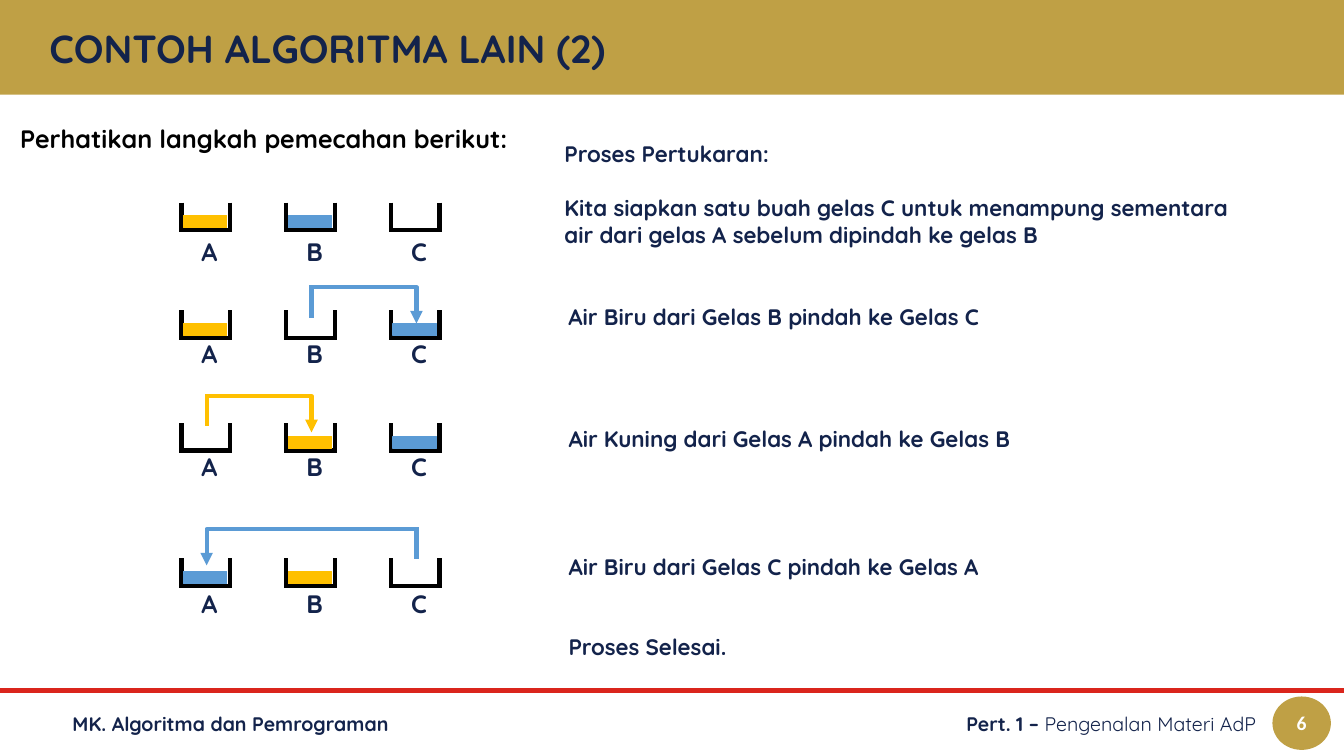
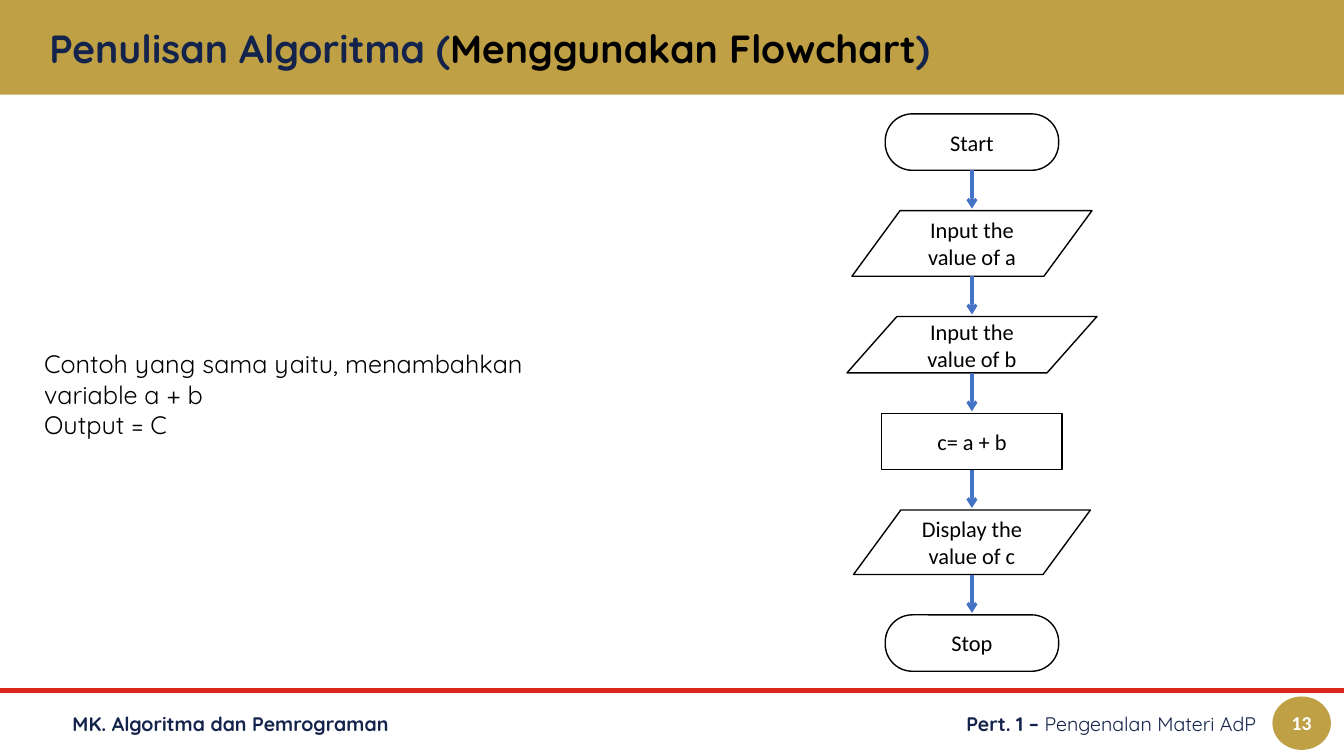
from lxml import etree
from pptx import Presentation
from pptx.dml.color import RGBColor
from pptx.enum.shapes import MSO_CONNECTOR as Connector, MSO_SHAPE as Shape
from pptx.enum.text import MSO_ANCHOR as Anchor, PP_ALIGN as Align
from pptx.oxml.ns import qn
from pptx.util import Inches, Pt

WIDTH, HEIGHT = 13.33, 7.5
FONT, NODE_FONT = "Quicksand", "Calibri"
COLORS = {
    "navy": "13234B", "gold": "BFA045", "red": "DA251C", "black": "000000",
    "white": "FFFFFF", "yellow": "FFC000", "blue": "5B9BD5", "arrow": "4472C4",
}

# Content: a run is (text, color, bold)
COURSE = [("MK. Algoritma dan Pemrograman", "navy", True)]
MEETING = [("Pert. 1 – ", "navy", True), ("Pengenalan Materi AdP", "navy", False)]
SWAP_TITLE = [("CONTOH ALGORITMA LAIN (2)", "navy", True)]
FLOW_TITLE = [("Penulisan Algoritma (", "navy", True),
              ("Menggunakan Flowchart", "black", True), (")", "navy", True)]
SWAP_HEADING = "Perhatikan langkah pemecahan berikut:"
FLOW_NOTE = ["Contoh yang sama yaitu, menambahkan variable a + b", "Output = C"]

# Each step: glass top, label top, water in A, B, C, and the pour
# as (from, to, color, height of its crossbar)
GLASSES = "ABC"
STEPS = [
    (2.01, 2.23, ("yellow", "blue", None), None),
    (3.08, 3.24, ("yellow", None, "blue"), ("B", "C", "blue", 2.85)),
    (4.2, 4.36, (None, "yellow", "blue"), ("A", "B", "yellow", 3.93)),
    (5.54, 5.72, ("blue", "yellow", None), ("C", "A", "blue", 5.25)),
]
# Each explanation: box, paragraphs, space between them in points
EXPLANATIONS = [
    ((5.5, 1.66, 6.79, 0.53),
     ["Proses Pertukaran:",
      "Kita siapkan satu buah gelas C untuk menampung sementara "
      "air dari gelas A sebelum dipindah ke gelas B"], 19),
    ((5.54, 2.88, 6.1, 0.53), ["Air Biru dari Gelas B pindah ke Gelas C"], 0),
    ((5.54, 4.09, 5.29, 0.53), ["Air Kuning dari Gelas A pindah ke Gelas B"], 0),
    ((5.54, 5.33, 5.29, 1.38),
     ["Air Biru dari Gelas C pindah ke Gelas A", "Proses Selesai."], 38),
]
# Each node: text, shape, width, height
NODES = [
    ("Start", Shape.ROUNDED_RECTANGLE, 1.72, 0.56),
    ("Input the value of a", Shape.FLOWCHART_DATA, 2.38, 0.65),
    ("Input the value of b", Shape.FLOWCHART_DATA, 2.48, 0.56),
    ("c= a + b", Shape.RECTANGLE, 1.79, 0.56),
    ("Display the value of c", Shape.FLOWCHART_DATA, 2.35, 0.64),
    ("Stop", Shape.ROUNDED_RECTANGLE, 1.72, 0.56),
]

# Grid of glasses and column of nodes
GLASS_LEFT, GLASS_PITCH, GLASS_WIDTH, GLASS_DEPTH = 1.8, 1.04, 0.48, 0.27
NODE_CENTER, NODE_TOP, NODE_GAP = 9.64, 1.13, 0.4


def color(name):
    return RGBColor.from_string(COLORS[name])


def write(shape, paragraphs, size, font=FONT, align=Align.LEFT,
          anchor=Anchor.MIDDLE, gap=0):
    frame = shape.text_frame
    frame.word_wrap = True
    frame.vertical_anchor = anchor
    for index, runs in enumerate(paragraphs):
        paragraph = frame.add_paragraph() if index else frame.paragraphs[0]
        paragraph.alignment = align
        if index and gap:
            paragraph.space_before = Pt(gap)
        for text, tint, bold in runs:
            run = paragraph.add_run()
            run.text = text
            run.font.name, run.font.size, run.font.bold = font, Pt(size), bold
            run.font.color.rgb = color(tint)
    return frame


def add_text(slide, box, paragraphs, size, inset=(0.1, 0.1), **style):
    shape = slide.shapes.add_textbox(*map(Inches, box))
    frame = write(shape, paragraphs, size, **style)
    frame.margin_left = frame.margin_right = Inches(inset[0])
    frame.margin_top = frame.margin_bottom = Inches(inset[1])
    return frame


def add_shape(slide, kind, box, fill, line=None):
    shape = slide.shapes.add_shape(kind, *map(Inches, box))
    shape.shadow.inherit = False
    shape.fill.solid()
    shape.fill.fore_color.rgb = color(fill)
    if line:
        shape.line.color.rgb = color(line)
        shape.line.width = Pt(1)
    else:
        shape.line.fill.background()
    return shape


def add_line(slide, start, end, tint, width=3, head=None, kind=Connector.STRAIGHT):
    line = slide.shapes.add_connector(kind, *map(Inches, (*start, *end)))
    line.line.color.rgb = color(tint)
    line.line.width = Pt(width)
    properties = line._element.spPr
    if head:
        etree.SubElement(properties.find(qn("a:ln")), qn("a:tailEnd"), type=head)
    etree.SubElement(properties, qn("a:effectLst"))
    return line


def add_base(presentation, title, number):
    slide = presentation.slides.add_slide(presentation.slide_layouts[6])
    add_shape(slide, Shape.RECTANGLE, (0, 0, WIDTH, 0.94), "gold")
    add_line(slide, (0, 6.85), (WIDTH, 6.85), "red")
    add_text(slide, (0.62, 6.91, 5.29, 0.53), [COURSE], 14)
    add_text(slide, (6.51, 6.91, 6.05, 0.53), [MEETING], 14, align=Align.RIGHT)
    add_text(slide, (0.39, 0.21, 12.55, 0.53), [title], 28)
    badge = add_shape(slide, Shape.OVAL, (12.62, 6.91, 0.58, 0.53), "gold")
    write(badge, [[(str(number), "white", True)]], 14, NODE_FONT, Align.CENTER)
    return slide


def glass_left(letter):
    return GLASS_LEFT + GLASSES.index(letter) * GLASS_PITCH


def add_glass(slide, left, top, water):
    right, bottom = left + GLASS_WIDTH, top + GLASS_DEPTH
    for side in (left, right):
        add_line(slide, (side, top), (side, bottom + 0.02), "black")
    add_line(slide, (left - 0.01, bottom), (right + 0.02, bottom), "black")
    if water:
        add_shape(slide, Shape.RECTANGLE, (left + 0.02, top + 0.13, 0.43, 0.12),
                  water, water)


def add_pour(slide, source, target, tint, bar):
    start, end = (glass_left(letter) + GLASS_WIDTH / 2 + 0.01
                  for letter in (source, target))
    elbow = add_line(slide, (start, bar), (end, bar + 0.36), tint,
                     head="triangle", kind=Connector.ELBOW)
    elbow._element.spPr.find(qn("a:prstGeom")).set("prst", "bentConnector2")
    add_line(slide, (start, bar - 0.02), (start, bar + 0.3), tint)


def build_swap(presentation):
    slide = add_base(presentation, SWAP_TITLE, 6)
    heading = add_text(slide, (0.13, 1.12, 6.44, 0.45),
                       [[(SWAP_HEADING, "black", True)]], 18,
                       inset=(0.07, 0.04), anchor=Anchor.BOTTOM)
    heading.paragraphs[0].line_spacing = 0.9
    for top, label_top, waters, pour in STEPS:
        for letter, water in zip(GLASSES, waters):
            left = glass_left(letter)
            add_glass(slide, left, top, water)
            add_text(slide, (left + 0.1, label_top, 0.29, 0.53),
                     [[(letter, "navy", True)]], 18, align=Align.CENTER)
        if pour:
            add_pour(slide, *pour)
    for box, lines, gap in EXPLANATIONS:
        add_text(slide, box, [[(line, "navy", True)] for line in lines], 16, gap=gap)


def build_flowchart(presentation):
    slide = add_base(presentation, FLOW_TITLE, 13)
    add_text(slide, (0.34, 3.41, 5.74, 1.01),
             [[(line, "black", False)] for line in FLOW_NOTE], 18,
             inset=(0.1, 0.05), anchor=Anchor.TOP)
    top = NODE_TOP
    for index, (text, kind, width, height) in enumerate(NODES):
        node = add_shape(slide, kind, (NODE_CENTER - width / 2, top, width, height),
                         "white", "black")
        if kind == Shape.ROUNDED_RECTANGLE:
            node.adjustments[0] = 0.48
        write(node, [[(text, "black", False)]], 16, NODE_FONT, Align.CENTER)
        if index:
            add_line(slide, (NODE_CENTER, top - NODE_GAP), (NODE_CENTER, top - 0.02),
                     "arrow", 2.25, "arrow")
        top += height + NODE_GAP


def main():
    presentation = Presentation()
    presentation.slide_width, presentation.slide_height = Inches(WIDTH), Inches(HEIGHT)
    build_swap(presentation)
    build_flowchart(presentation)
    presentation.save("out.pptx")


if __name__ == "__main__":
    main()
